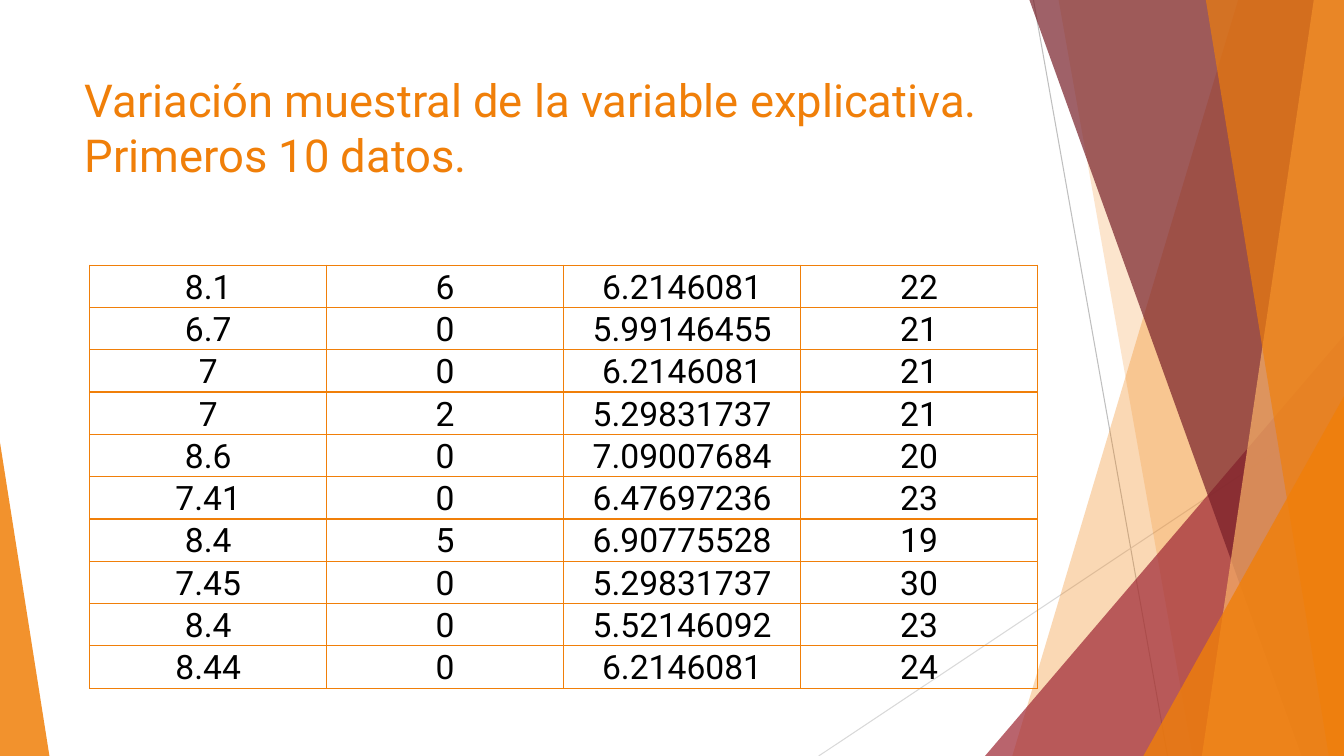
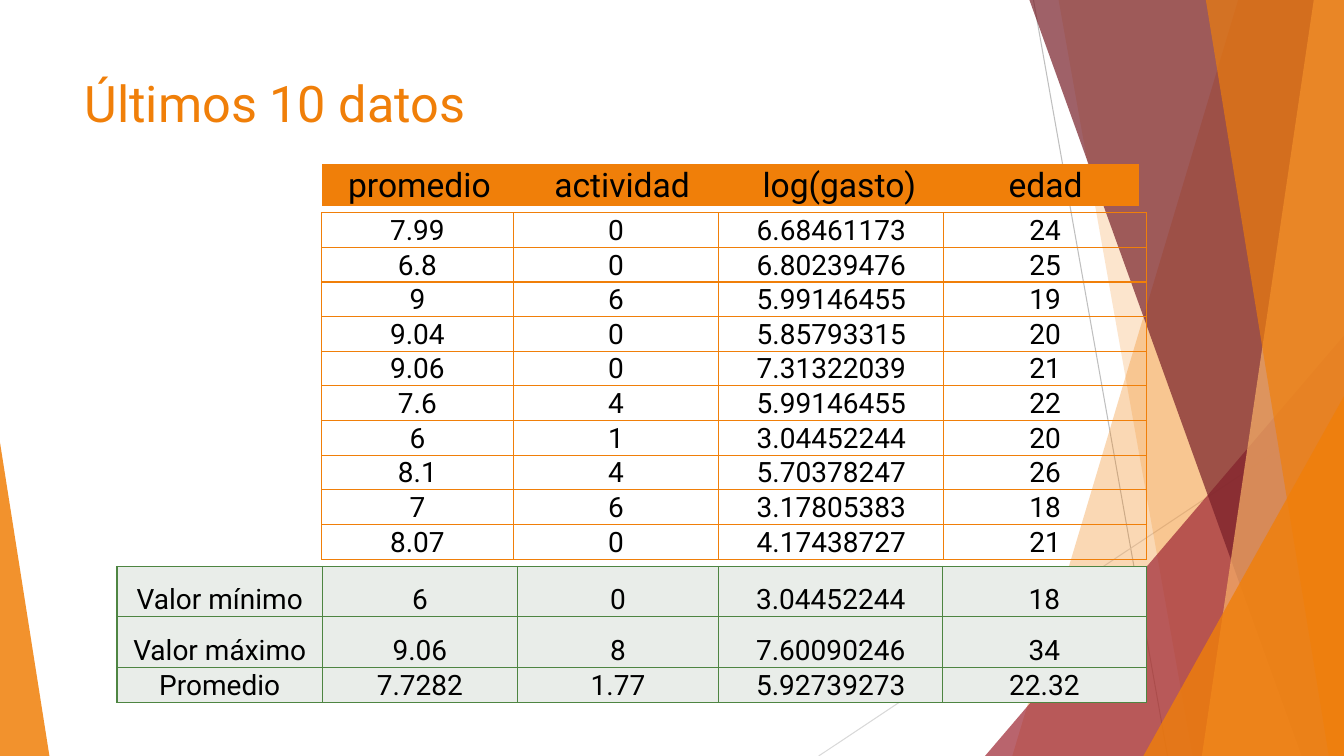
"""Build two slides of sample data with a shared faceted background."""
import lxml.etree
import pptx
import pptx.dml.color
import pptx.enum.shapes
import pptx.enum.text
import pptx.oxml.ns
import pptx.util

Inches = pptx.util.Inches
Pt = pptx.util.Pt
RGBColor = pptx.dml.color.RGBColor
qn = pptx.oxml.ns.qn

ORANGE = RGBColor(0xF0, 0x7F, 0x09)
LIGHT_ORANGE = RGBColor(0xF9, 0xB2, 0x68)
RED = RGBColor(0x9F, 0x29, 0x36)
DARK_RED = RGBColor(0x77, 0x1F, 0x28)
GREEN = RGBColor(0x4E, 0x85, 0x42)
PALE_GREEN = RGBColor(0xE9, 0xED, 0xE9)
GRAY = RGBColor(0xBF, 0xBF, 0xBF)
LIGHT_GRAY = RGBColor(0xD9, 0xD9, 0xD9)
BLACK = RGBColor(0, 0, 0)
WIDTH, HEIGHT = 13.33, 7.5
FONT = "Roboto"
PLAIN_TABLE_STYLE = "{2D5ABB26-0587-4C30-8999-92F81FD0307C}"

FIRST_ROWS = [
    (8.1, 6, 6.2146081, 22),
    (6.7, 0, 5.99146455, 21),
    (7, 0, 6.2146081, 21),
    (7, 2, 5.29831737, 21),
    (8.6, 0, 7.09007684, 20),
    (7.41, 0, 6.47697236, 23),
    (8.4, 5, 6.90775528, 19),
    (7.45, 0, 5.29831737, 30),
    (8.4, 0, 5.52146092, 23),
    (8.44, 0, 6.2146081, 24),
]
HEADER = [("promedio", "actividad", "log(gasto)", "edad")]
LAST_ROWS = [
    (7.99, 0, 6.68461173, 24),
    (6.8, 0, 6.80239476, 25),
    (9, 6, 5.99146455, 19),
    (9.04, 0, 5.85793315, 20),
    (9.06, 0, 7.31322039, 21),
    (7.6, 4, 5.99146455, 22),
    (6, 1, 3.04452244, 20),
    (8.1, 4, 5.70378247, 26),
    (7, 6, 3.17805383, 18),
    (8.07, 0, 4.17438727, 21),
]
SUMMARY = [
    ("Valor mínimo", 6, 0, 3.04452244, 18),
    ("Valor máximo", 9.06, 8, 7.60090246, 34),
    ("Promedio", 7.7282, 1.77, 5.92739273, 22.32),
]


def write(frame, text, size, color=BLACK, align=pptx.enum.text.PP_ALIGN.LEFT):
    para = frame.paragraphs[0]
    para.text = text
    para.alignment = align
    for span in para.runs:
        span.font.name = FONT
        span.font.size = Pt(size)
        span.font.color.rgb = color


class Slides:
    def __init__(self):
        self.deck = pptx.Presentation()
        self.deck.slide_width = Inches(WIDTH)
        self.deck.slide_height = Inches(HEIGHT)
        self.page = None

    def add_page(self, title, size):
        self.page = self.deck.slides.add_slide(self.deck.slide_layouts[6])
        self.background()
        box = self.page.shapes.add_textbox(
            Inches(0.74), Inches(0.67), Inches(9.4), Inches(1.44))
        box.text_frame.word_wrap = True
        write(box.text_frame, title, size, ORANGE)

    def background(self):
        self.line((10.25, 0), (11.58, HEIGHT), GRAY)
        self.line((WIDTH, 4.03), (8.12, HEIGHT), LIGHT_GRAY)
        self.panel(12.28, 10.04, ORANGE, 30)
        self.panel(10.5, 11.83, ORANGE, 20)
        self.triangle(9.77, 3.33, 3.56, 1, RED, 72)
        self.panel(10.21, 12.91, DARK_RED, 70)
        self.panel(13.03, 11.92, LIGHT_ORANGE, 70)
        self.panel(11.96, 13.18, ORANGE, 65)
        self.triangle(11.34, 3.93, 1.99, 1, ORANGE, 80)
        self.triangle(0, 4.39, 0.49, 0, ORANGE, 85)

    def line(self, start, end, color):
        line = self.page.shapes.add_connector(
            pptx.enum.shapes.MSO_CONNECTOR.STRAIGHT,
            *(Inches(value) for value in start + end))
        line.line.color.rgb = color
        line.line.width = Pt(0.75)
        lxml.etree.SubElement(line._element.spPr, qn("a:effectLst"))

    def panel(self, top_x, bottom_x, color, opacity):
        corners = [(WIDTH, 0), (WIDTH, HEIGHT), (bottom_x, HEIGHT)]
        builder = self.page.shapes.build_freeform(Inches(top_x), 0)
        builder.add_line_segments([(Inches(x), Inches(y)) for x, y in corners])
        self.paint(builder.convert_to_shape(), color, opacity)

    def triangle(self, left, top, width, apex, color, opacity):
        shape = self.page.shapes.add_shape(
            pptx.enum.shapes.MSO_SHAPE.ISOSCELES_TRIANGLE,
            Inches(left), Inches(top), Inches(width), Inches(HEIGHT - top))
        shape.adjustments[0] = apex
        self.paint(shape, color, opacity)

    def paint(self, shape, color, opacity):
        shape.shadow.inherit = False
        shape.fill.solid()
        shape.fill.fore_color.rgb = color
        shape.line.fill.background()
        tint = shape._element.spPr.find(qn("a:solidFill")).find(qn("a:srgbClr"))
        lxml.etree.SubElement(tint, qn("a:alpha"), val=str(opacity * 1000))

    def table(self, left, top, columns, heights, rows, size, border=None, fill=None):
        table = self.page.shapes.add_table(
            len(rows), len(columns), Inches(left), Inches(top),
            Inches(sum(columns)), Inches(sum(heights))).table
        table.first_row = table.horz_banding = False
        table._tbl.tblPr.find(qn("a:tableStyleId")).text = PLAIN_TABLE_STYLE
        for column, width in zip(table.columns, columns):
            column.width = Inches(width)
        for row, height, values in zip(table.rows, heights, rows):
            row.height = Inches(height)
            for cell, value in zip(row.cells, values):
                self.cell(cell, str(value), size, border, fill)

    def cell(self, cell, text, size, border, fill):
        cell.margin_left = cell.margin_right = cell.margin_top = Inches(0.01)
        cell.margin_bottom = 0
        cell.vertical_anchor = pptx.enum.text.MSO_ANCHOR.BOTTOM
        if border is not None:
            for side in ("a:lnL", "a:lnR", "a:lnT", "a:lnB"):
                edge = lxml.etree.SubElement(
                    cell._tc.get_or_add_tcPr(), qn(side), w=str(Pt(1)))
                paint = lxml.etree.SubElement(edge, qn("a:solidFill"))
                lxml.etree.SubElement(paint, qn("a:srgbClr"), val=str(border))
        if fill is None:
            cell.fill.background()
        else:
            cell.fill.solid()
            cell.fill.fore_color.rgb = fill
        write(cell.text_frame, text, size, align=pptx.enum.text.PP_ALIGN.CENTER)


def main():
    slides = Slides()
    slides.add_page(
        "Variación muestral de la variable explicativa.\vPrimeros 10 datos.", 32.4)
    slides.table(0.89, 2.63, [2.35] * 4, [0.42] * 10, FIRST_ROWS, 24, border=ORANGE)

    slides.add_page("Últimos 10 datos", 36)
    slides.table(3.19, 1.63, [1.94, 2.08, 2.23, 1.86], [0.4], HEADER, 24, fill=ORANGE)
    slides.table(3.19, 2.11, [1.9, 2.04, 2.23, 2.01], [0.34] * 10, LAST_ROWS, 20,
                 border=ORANGE)
    slides.table(1.16, 5.62, [2.04, 1.93, 2, 2.22, 2.02], [0.5, 0.5, 0.35], SUMMARY, 20,
                 border=GREEN, fill=PALE_GREEN)
    slides.deck.save("out.pptx")


if __name__ == "__main__":
    main()
